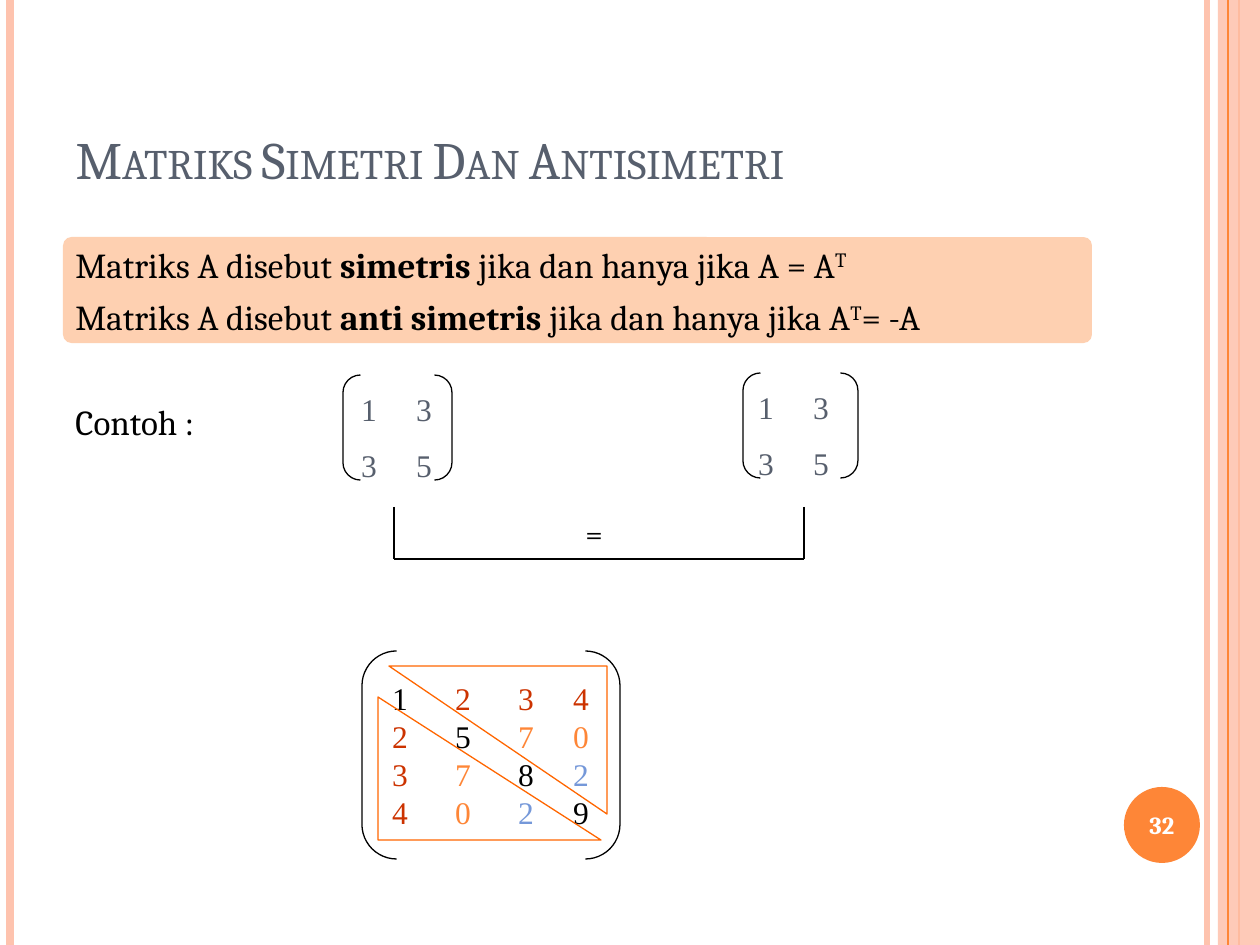
import lxml.etree
import pptx
import pptx.dml.color
import pptx.enum.shapes
import pptx.enum.text
import pptx.oxml.ns
import pptx.util

PX = 914400 / 126
SHAPE = pptx.enum.shapes.MSO_SHAPE
ANCHOR = pptx.enum.text.MSO_ANCHOR
ALIGN = pptx.enum.text.PP_ALIGN
qn = pptx.oxml.ns.qn


def color(hex_string):
    return pptx.dml.color.RGBColor.from_string(hex_string)


def write(paragraph, text, size=20, font="Cambria", fill="000000", bold=False, **attributes):
    """Add a run; extra keywords become attributes of its rPr."""
    run = paragraph.add_run()
    run.text = text
    run.font.size = pptx.util.Pt(size)
    run.font.name = font
    run.font.bold = bold
    run.font.color.rgb = color(fill)
    for name, value in attributes.items():
        run.font._element.set(name, value)


presentation = pptx.Presentation()
presentation.slide_width = round(1260 * PX)
presentation.slide_height = round(945 * PX)
slide = presentation.slides.add_slide(presentation.slide_layouts[5])

# Filled shapes: kind, box, fill, opacity in percent
filled = {
    "band": (SHAPE.RECTANGLE, (1218, 0, 42, 945), "FEC3AE", 87),
    "number": (SHAPE.OVAL, (1124, 787, 76, 76), "FE8637", 100),
    "definition": (SHAPE.ROUNDED_RECTANGLE, (63, 237, 1029, 106), "FE8637", 39),
}
shapes = {}
for name, (kind, box, fill, opacity) in filled.items():
    shape = slide.shapes.add_shape(kind, *[round(value * PX) for value in box])
    shape.shadow.inherit = False
    shape.fill.solid()
    shape.fill.fore_color.rgb = color(fill)
    shape.line.fill.background()
    if opacity < 100:
        fill_color = shape.fill._xPr.find(qn("a:solidFill"))[0]
        lxml.etree.SubElement(fill_color, qn("a:alpha")).set("val", str(opacity * 1000))
    shapes[name] = shape
shapes["definition"].adjustments[0] = 0.08

number_frame = shapes["number"].text_frame
number_frame.margin_left = number_frame.margin_right = 0
number_frame.vertical_anchor = ANCHOR.MIDDLE
number_frame.paragraphs[0].alignment = ALIGN.CENTER
write(number_frame.paragraphs[0], "32", size=14, fill="FFFFFF", bold=True)

# Straight lines: ends, colour, width
lines = [
    (1207, 0, 1207, 945, "FEC3AE", 3),
    (10, 0, 10, 945, "FEC3AE", 4.5),
    (1239, 0, 1239, 945, "FEBB9F", 1.5),
    (1228, 0, 1228, 945, "FE8637", 0.75),
    (394, 559, 804, 559, "000000", 0.75),
    (804, 507, 804, 559, "000000", 0.75),
    (394, 507, 394, 559, "000000", 0.75),
]
for *ends, line_color, width in lines:
    line = slide.shapes.add_connector(
        pptx.enum.shapes.MSO_CONNECTOR.STRAIGHT, *[round(value * PX) for value in ends])
    line.line.color.rgb = color(line_color)
    line.line.width = pptx.util.Pt(width)
    lxml.etree.SubElement(line._element.spPr, qn("a:effectLst"))

title = slide.shapes.title
title.left, title.top, title.width, title.height = [
    round(value * PX) for value in (63, 38, 1029, 158)]
title.text_frame.vertical_anchor = ANCHOR.BOTTOM
title.text_frame.paragraphs[0].alignment = ALIGN.LEFT
write(title.text_frame.paragraphs[0], "Matriks Simetri Dan Antisimetri",
      size=30, fill="575F6D", cap="small")

# Text boxes: box, paragraphs as (space before, runs)
raised = {"baseline": "30000"}
strong = {"bold": True}
texts = [
    ((63, 237, 1057, 181), [
        (0, [("Matriks A disebut ", {}), ("simetris ", strong),
             ("jika dan hanya jika A = A", {}), ("T", raised)]),
        (6, [("Matriks A disebut ", {}), ("anti simetris ", strong),
             ("jika dan hanya jika A", {}), ("T", raised), ("= -A", {})]),
        (36, [("Contoh :", {})]),
    ]),
    ((573, 508, 42, 50), [(0, [("=", {"size": 18})])]),
]
for box, paragraphs in texts:
    frame = slide.shapes.add_textbox(*[round(value * PX) for value in box]).text_frame
    frame.word_wrap = True
    for index, (space, runs) in enumerate(paragraphs):
        paragraph = frame.add_paragraph() if index else frame.paragraphs[0]
        paragraph.space_before = pptx.util.Pt(space)
        for text, style in runs:
            write(paragraph, text, **style)

# Matrices: box, left inset, tab stops, line spacing, rows, plain colour
pair = ["13", "35"]
matrices = [
    ((343, 375, 109, 105), 13, [55], 1.5, pair, "575F6D"),
    ((743, 373, 115, 105), 10, [55], 1.5, pair, "575F6D"),
    ((362, 651, 258, 208), 20, [63, 126, 181], 1, ["1234", "2570", "3782", "4029"], None),
]
band_colors = ["CC3300", "FE8637", "7598D9"]
for box, inset, stops, spacing, rows, plain in matrices:
    matrix = slide.shapes.add_shape(SHAPE.DOUBLE_BRACKET, *[round(value * PX) for value in box])
    matrix.shadow.inherit = False
    matrix.fill.background()
    matrix.line.color.rgb = color("000000")
    matrix.line.width = pptx.util.Pt(0.75)
    frame = matrix.text_frame
    frame.margin_left, frame.margin_right = round(inset * PX), 0
    frame.vertical_anchor = ANCHOR.MIDDLE
    for row, digits in enumerate(rows):
        paragraph = frame.add_paragraph() if row else frame.paragraphs[0]
        paragraph.alignment = ALIGN.LEFT
        paragraph.line_spacing = float(spacing)
        tabs = lxml.etree.SubElement(paragraph._p.get_or_add_pPr(), qn("a:tabLst"))
        for stop in stops:
            lxml.etree.SubElement(tabs, qn("a:tab"), pos=str(round(stop * PX)), algn="l")
        for column, digit in enumerate(digits):
            # Mirrored entries share a colour; the diagonal is black
            symmetric = "000000" if row == column else band_colors[min(row, column)]
            write(paragraph, ("\t" if column else "") + digit, size=18,
                  font="Times New Roman", fill=plain or symmetric)

# Triangles below and above the diagonal
for box, rotation in [((378, 697, 223, 143), 0), ((389, 666, 218, 148), 180)]:
    triangle = slide.shapes.add_shape(SHAPE.RIGHT_TRIANGLE, *[round(value * PX) for value in box])
    triangle.shadow.inherit = False
    triangle.rotation = rotation
    triangle.fill.background()
    triangle.line.color.rgb = color("FF6600")
    triangle.line.width = pptx.util.Pt(0.75)

presentation.save("out.pptx")
